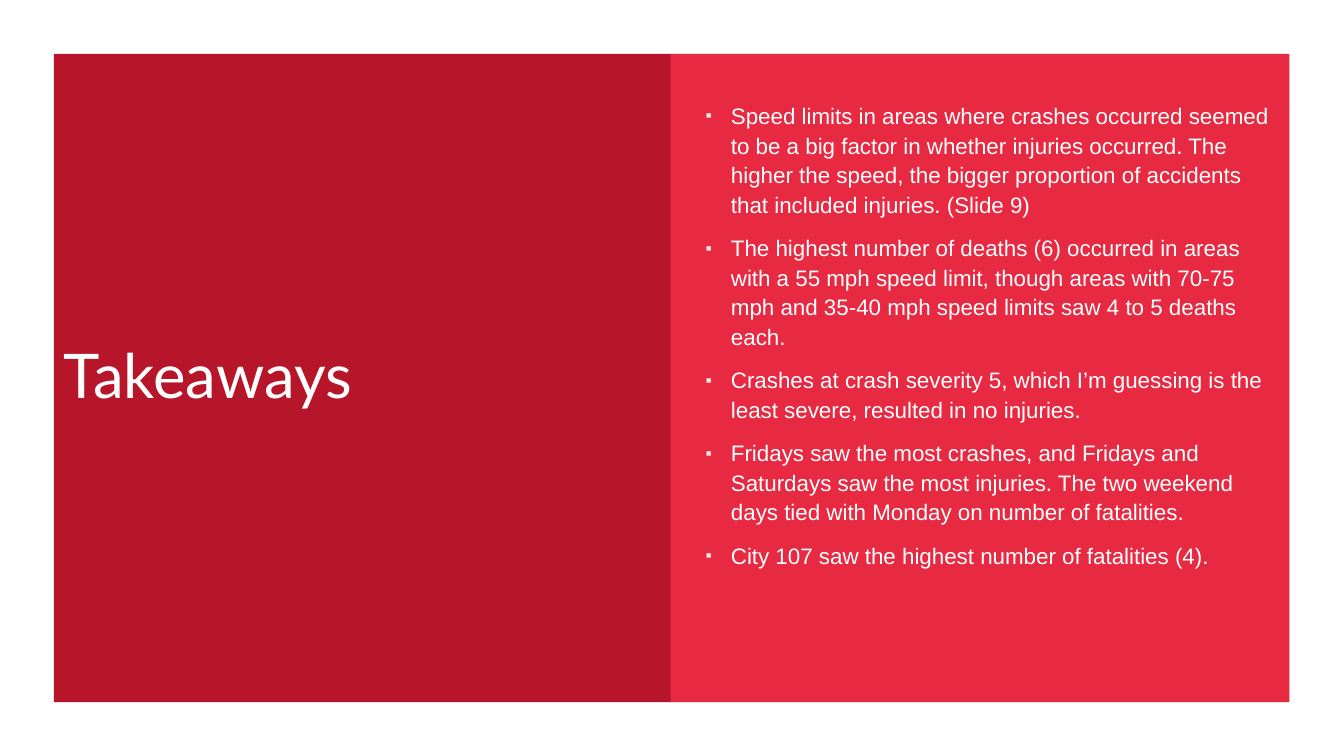
import pptx
import pptx.util
import pptx.dml.color
import pptx.enum.shapes
import pptx.enum.text
import pptx.oxml
import pptx.oxml.ns
from pptx.util import Pt

# Content
TITLE = "Takeaways"
TAKEAWAYS = [
    "Speed limits in areas where crashes occurred seemed to be a big factor in whether injuries occurred. "
    "The higher the speed, the bigger proportion of accidents that included injuries. (Slide 9)",
    "The highest number of deaths (6) occurred in areas with a 55 mph speed limit, "
    "though areas with 70-75 mph and 35-40 mph speed limits saw 4 to 5 deaths each.",
    "Crashes at crash severity 5, which I’m guessing is the least severe, resulted in no injuries.",
    "Fridays saw the most crashes, and Fridays and Saturdays saw the most injuries. "
    "The two weekend days tied with Monday on number of fatalities.",
    "City 107 saw the highest number of fatalities (4).",
]

# Layout, in points
WIDTH, HEIGHT = 960, 540
MARGIN = 38.4
PANEL_WIDTH, PANEL_HEIGHT = 442, HEIGHT - 2 * MARGIN
BODY_LEFT = WIDTH - MARGIN - PANEL_WIDTH - 0.6
BODY_BOTTOM_INSET = 66


def color(value):
    return pptx.dml.color.RGBColor.from_string(value)


def add_bullet(para, mark="▪", tint="EFE7E3", percent=80):
    props = para._p.get_or_add_pPr()
    props.set("marL", str(Pt(36)))
    props.set("indent", str(Pt(-18)))
    namespace = pptx.oxml.ns.nsdecls("a")
    for xml in (
        f'<a:buClr {namespace}><a:srgbClr val="{tint}"/></a:buClr>',
        f'<a:buSzPct {namespace} val="{percent * 1000}"/>',
        f'<a:buFont {namespace} typeface="Arial"/>',
        f'<a:buChar {namespace} char="{mark}"/>',
    ):
        props.append(pptx.oxml.parse_xml(xml))


def add_panel(page, left, lines, *, fill, font, size, spacing, before=0, bottom=3.6, bullets=False):
    box = page.shapes.add_shape(pptx.enum.shapes.MSO_SHAPE.RECTANGLE,
                                Pt(left), Pt(MARGIN), Pt(PANEL_WIDTH), Pt(PANEL_HEIGHT))
    box.shadow.inherit = False
    box.fill.solid()
    box.fill.fore_color.rgb = color(fill)
    box.line.fill.background()
    frame = box.text_frame
    frame.word_wrap = True
    frame.vertical_anchor = pptx.enum.text.MSO_ANCHOR.MIDDLE
    frame.margin_bottom = Pt(bottom)
    for index, line in enumerate(lines):
        para = frame.add_paragraph() if index else frame.paragraphs[0]
        para.alignment = pptx.enum.text.PP_ALIGN.LEFT
        para.line_spacing = spacing
        para.space_before = Pt(before)
        if bullets:
            add_bullet(para)
        span = para.add_run()
        span.text = line
        span.font.name = font
        span.font.size = Pt(size)
        span.font.color.rgb = color("FFFFFF")


# Slide
deck = pptx.Presentation()
deck.slide_width, deck.slide_height = Pt(WIDTH), Pt(HEIGHT)
page = deck.slides.add_slide(deck.slide_layouts[6])

# Title panel on the left, findings on the right
add_panel(page, MARGIN, [TITLE], fill="B71529", font="Lato", size=44, spacing=0.9)
add_panel(page, BODY_LEFT, TAKEAWAYS, fill="E72941", font="Arial", size=16, spacing=1.1,
          before=10, bottom=BODY_BOTTOM_INSET, bullets=True)

deck.save("out.pptx")
